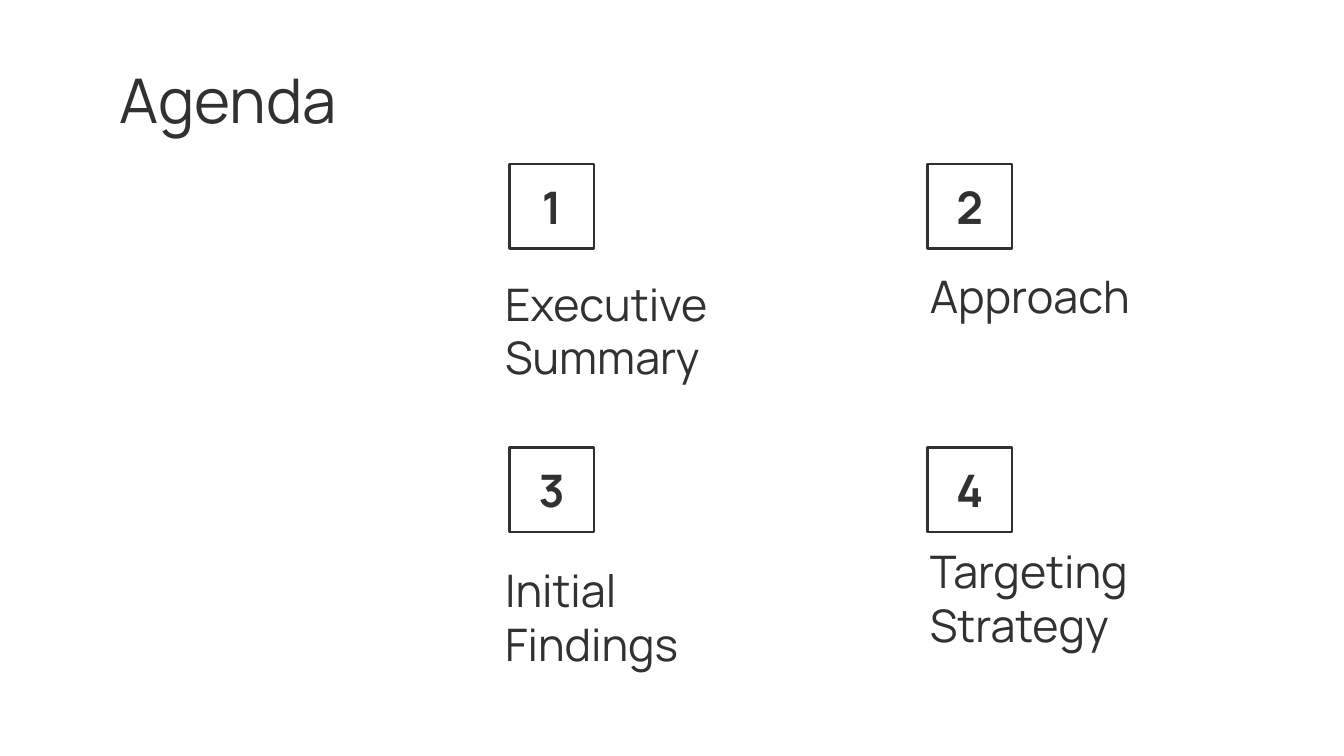
from pptx import Presentation
from pptx.dml.color import RGBColor
from pptx.enum.shapes import MSO_SHAPE
from pptx.enum.text import MSO_ANCHOR, PP_ALIGN
from pptx.util import Inches, Pt

COLORS = {"ink": "313131", "background": "FFFFFF"}
INK = RGBColor.from_string(COLORS["ink"])


def write(shape, lines, size=24, bold=False, align=PP_ALIGN.LEFT):
    """Fill a shape with one paragraph, breaking it between the given lines."""
    frame = shape.text_frame
    frame.word_wrap = True
    frame.vertical_anchor = MSO_ANCHOR.MIDDLE
    frame.margin_left = frame.margin_right = Inches(0.1)
    frame.margin_top = frame.margin_bottom = Inches(0.1)
    paragraph = frame.paragraphs[0]
    paragraph.alignment = align
    for index, line in enumerate(lines):
        if index:
            paragraph.add_line_break()
        run = paragraph.add_run()
        run.text = line
        run.font.name = "Manrope"
        run.font.size = Pt(size)
        run.font.bold = bold
        run.font.color.rgb = INK


prs = Presentation()
prs.slide_width = Inches(10)
prs.slide_height = Inches(10) * 9 // 16
slide = prs.slides.add_slide(prs.slide_layouts[6])
slide.background.fill.solid()
slide.background.fill.fore_color.rgb = RGBColor.from_string(COLORS["background"])

heading = slide.shapes.add_textbox(Inches(0.79), Inches(0.42), Inches(6.94), Inches(0.63))
write(heading, ["Agenda"], size=33)

# Topic lines, then left, top and height of the topic label
topics = [
    (["Executive", "Summary"], 3.66, 1.91, 1.09),
    (["Approach"], 6.82, 1.91, 0.58),
    (["Initial Findings"], 3.66, 4.13, 0.91),
    (["Targeting", "Strategy"], 6.82, 3.95, 0.99),
]
for index, (lines, left, top, height) in enumerate(topics):
    row, column = divmod(index, 2)

    number = slide.shapes.add_shape(
        MSO_SHAPE.RECTANGLE,
        Inches(3.79 + 3.11 * column), Inches(1.22 + 2.11 * row),
        Inches(0.63), Inches(0.63),
    )
    number.shadow.inherit = False
    number.fill.background()
    number.line.color.rgb = INK
    number.line.width = Pt(1.5)
    write(number, [str(index + 1)], bold=True, align=PP_ALIGN.CENTER)

    topic = slide.shapes.add_textbox(Inches(left), Inches(top), Inches(2.1), Inches(height))
    write(topic, lines)

prs.save("out.pptx")
